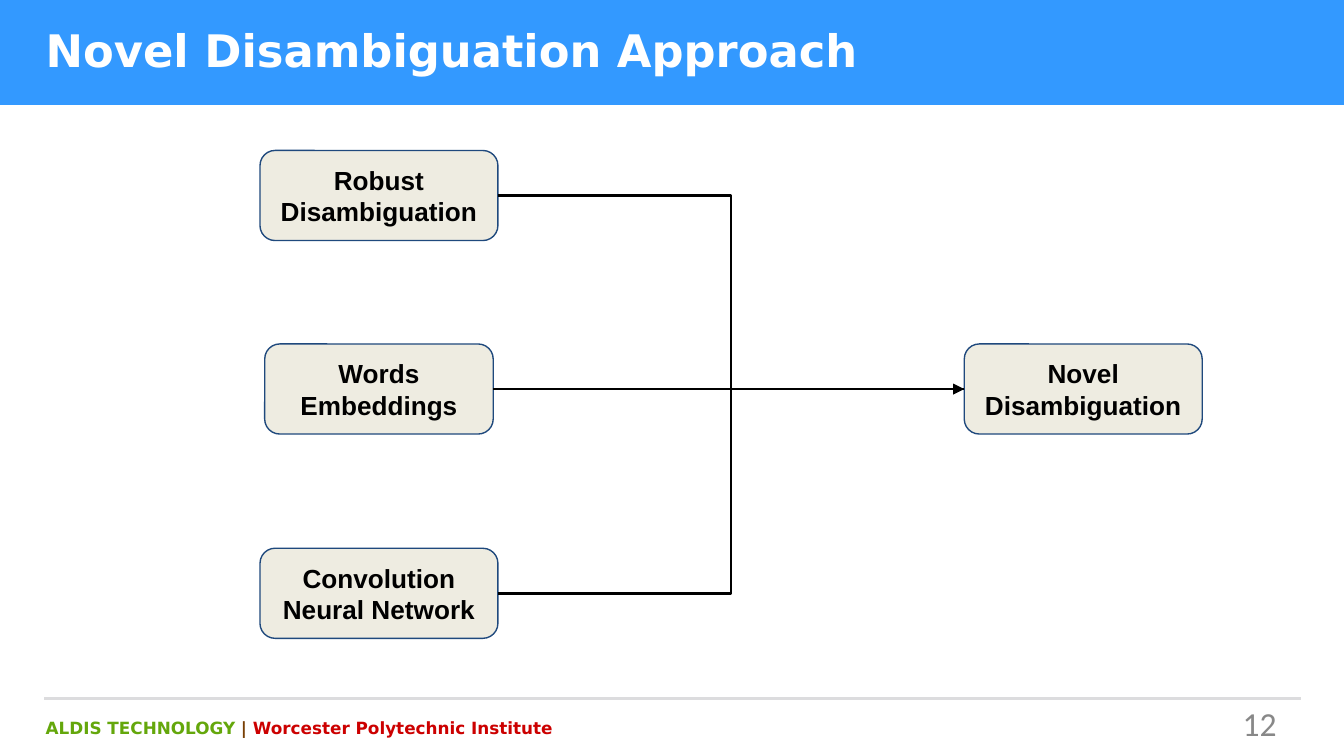
from pptx import Presentation
from pptx import util as u
from pptx.dml.color import RGBColor
from pptx.enum import shapes, text
from pptx.oxml.ns import qn
from lxml import etree

WHITE = RGBColor(0xFF, 0xFF, 0xFF)
BLACK = RGBColor(0, 0, 0)
BLUE = RGBColor(0x33, 0x99, 0xFF)
NAVY = RGBColor(0x1F, 0x49, 0x7D)
CREAM = RGBColor(0xEE, 0xEC, 0xE1)
RULE_GRAY = RGBColor(0xDC, 0xDC, 0xDE)
NUMBER_GRAY = RGBColor(0x88, 0x88, 0x88)
GREEN = RGBColor(0x64, 0xA7, 0x0B)
BROWN = RGBColor(0x78, 0x3F, 0x04)
RED = RGBColor(0xCC, 0, 0)

# Content
TITLE = "Novel Disambiguation Approach"
FOOTER = [("ALDIS TECHNOLOGY ", GREEN), ("| ", BROWN),
          ("Worcester Polytechnic Institute", RED)]
PAGE = "12"
SOURCES = [  # label, top, width, connector kind
    ("Robust Disambiguation", 1.12, 1.77, shapes.MSO_CONNECTOR.ELBOW),
    ("Words Embeddings", 2.56, 1.7, shapes.MSO_CONNECTOR.STRAIGHT),
    ("Convolution Neural Network", 4.08, 1.77, shapes.MSO_CONNECTOR.ELBOW),
]
RESULT = ("Novel Disambiguation", 2.56, 1.77)
SOURCE_CENTER, RESULT_CENTER, BOX_HEIGHT = 2.82, 8.06, 0.67


def write(sp, runs, size, font, color=BLACK, bold=True, margins=(0, 0, 0, 0),
          align=text.PP_ALIGN.LEFT, anchor=text.MSO_ANCHOR.TOP):
    tf = sp.text_frame
    tf.word_wrap = True
    tf.auto_size = text.MSO_AUTO_SIZE.NONE
    tf.vertical_anchor = anchor
    tf.margin_left, tf.margin_top, tf.margin_right, tf.margin_bottom = map(u.Inches, margins)
    p = tf.paragraphs[0]
    p.alignment = align
    for words, run_color in ([(runs, color)] if isinstance(runs, str) else runs):
        r = p.add_run()
        r.text = words
        r.font.size, r.font.name, r.font.bold = u.Pt(size), font, bold
        r.font.color.rgb = run_color


def add_box(s, label, center, top, width):
    sp = s.shapes.add_shape(shapes.MSO_SHAPE.ROUNDED_RECTANGLE, u.Inches(center - width / 2),
                            u.Inches(top), u.Inches(width), u.Inches(BOX_HEIGHT))
    sp.shadow.inherit = False
    sp.fill.solid()
    sp.fill.fore_color.rgb = CREAM
    sp.line.color.rgb = NAVY
    sp.line.width = u.Pt(0.75)
    write(sp, label, 14, "Arial", margins=(0.1,) * 4,
          align=text.PP_ALIGN.CENTER, anchor=text.MSO_ANCHOR.MIDDLE)
    return sp


def add_line(s, kind, x1, y1, x2, y2, color):
    line = s.shapes.add_connector(kind, *map(u.Inches, (x1, y1, x2, y2)))
    line.line.color.rgb = color
    line.line.width = u.Pt(1.5)
    etree.SubElement(line.element.spPr, qn("a:effectLst"))
    return line


prs = Presentation()
prs.slide_width = u.Inches(10)
prs.slide_height = prs.slide_width * 9 // 16
s = prs.slides.add_slide(prs.slide_layouts[5])

# Footer rule and title bar
add_line(s, shapes.MSO_CONNECTOR.STRAIGHT, 0.33, 5.2, 9.68, 5.2, RULE_GRAY)
bar = s.shapes.add_shape(shapes.MSO_SHAPE.RECTANGLE, 0, 0, prs.slide_width, u.Inches(0.78))
bar.shadow.inherit = False
bar.fill.solid()
bar.fill.fore_color.rgb = BLUE
bar.line.fill.background()

# Title, brought in front of the bar
title = s.shapes.title
title.left, title.top, title.width, title.height = map(u.Inches, (0.33, 0.16, 9.34, 0.43))
write(title, TITLE, 24, "DejaVu Sans", color=WHITE, margins=(0.01, 0.01, 0, 0))
bar.element.addnext(title.element)

# Footer and page number
footer = s.shapes.add_textbox(*map(u.Inches, (0.33, 5.32, 4.06, 0.17)))
write(footer, FOOTER, 9, "DejaVu Sans", margins=(0.01, 0.02, 0, 0))
number = s.shapes.add_textbox(*map(u.Inches, (7.2, 5.23, 2.3, 0.28)))
write(number, PAGE, 18, "Calibri", color=NUMBER_GRAY, bold=False, align=text.PP_ALIGN.RIGHT)

# Diagram: each source box leads to the result box
label, top, width = RESULT
result = add_box(s, label, RESULT_CENTER, top, width)
for label, top, width, kind in SOURCES:
    source = add_box(s, label, SOURCE_CENTER, top, width)
    link = add_line(s, kind, 0, 0, 1, 1, BLACK)
    link.begin_connect(source, 3)
    link.end_connect(result, 1)
    if kind == shapes.MSO_CONNECTOR.STRAIGHT:
        outline = link.element.spPr.find(qn("a:ln"))
        etree.SubElement(outline, qn("a:tailEnd"), type="triangle")

prs.save("out.pptx")
